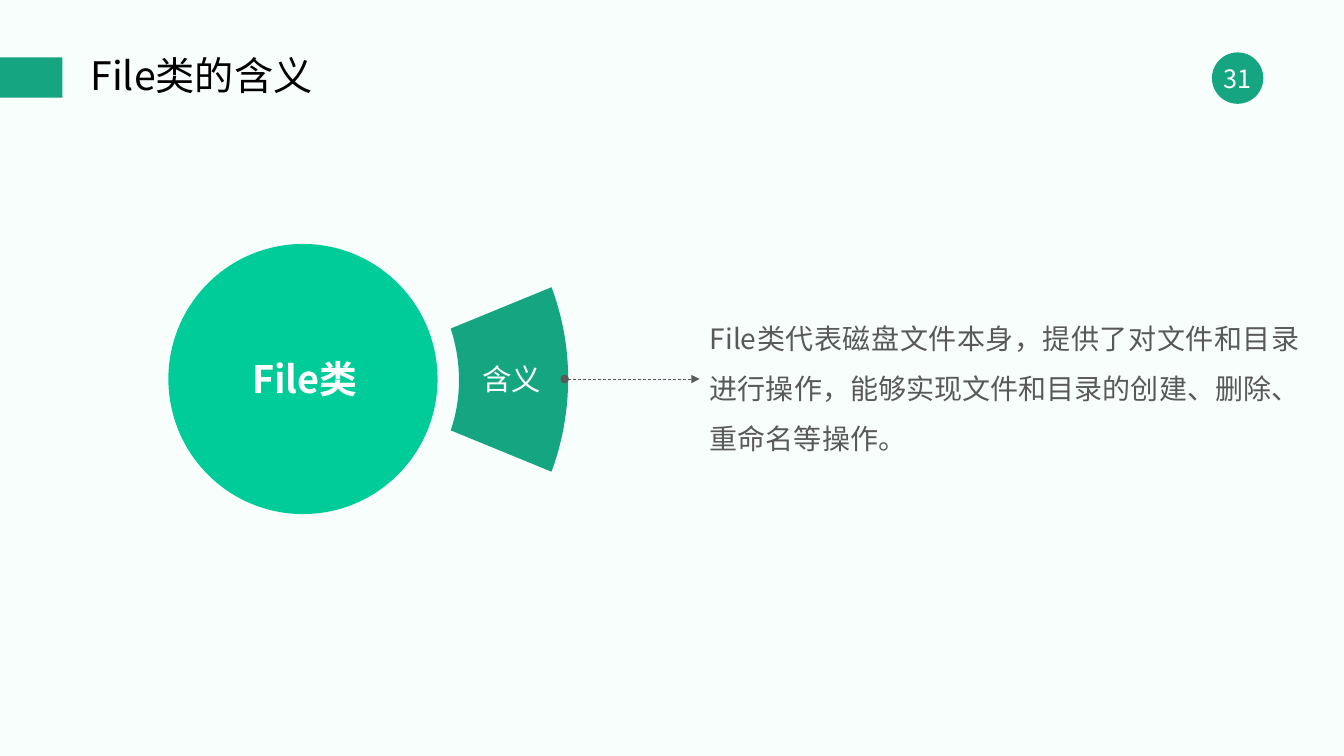
from lxml import etree
from pptx import Presentation
from pptx.dml.color import RGBColor
from pptx.enum.dml import MSO_LINE
from pptx.enum.shapes import MSO_CONNECTOR, MSO_SHAPE
from pptx.enum.text import MSO_ANCHOR, PP_ALIGN
from pptx.oxml.ns import qn
from pptx.util import Pt

PX = 9144  # 100 px to the inch
FONT = "Noto Sans CJK SC"
BACKGROUND = RGBColor(0xF8, 0xFE, 0xFC)
GREEN = RGBColor(0x15, 0xA6, 0x81)
MINT = RGBColor(0x00, 0xCC, 0x99)
GREY = RGBColor(0x59, 0x59, 0x59)
BLACK = RGBColor(0, 0, 0)
WHITE = RGBColor(0xFF, 0xFF, 0xFF)
OVAL, RECTANGLE = MSO_SHAPE.OVAL, MSO_SHAPE.RECTANGLE
STRAIGHT, DASH = MSO_CONNECTOR.STRAIGHT, MSO_LINE.DASH
TOP, MIDDLE = MSO_ANCHOR.TOP, MSO_ANCHOR.MIDDLE
LEFT, CENTER, JUSTIFY = PP_ALIGN.LEFT, PP_ALIGN.CENTER, PP_ALIGN.JUSTIFY


def add_text(slide, box, text, size, color, align, anchor, insets, bold=False):
    shape = slide.shapes.add_textbox(*[value * PX for value in box])
    frame = shape.text_frame
    frame.word_wrap = True
    frame.vertical_anchor = anchor
    frame.margin_left = frame.margin_right = insets[0] * PX
    frame.margin_top = frame.margin_bottom = insets[1] * PX
    paragraph = frame.paragraphs[0]
    paragraph.alignment = align
    run = paragraph.add_run()
    run.text = text
    run.font.name = FONT
    run.font.size = Pt(size)
    run.font.bold = bold
    run.font.color.rgb = color
    etree.SubElement(run.font._element, qn("a:ea"), typeface=FONT)
    return paragraph


def curve_points(start, control_1, control_2, end, steps=24):
    for step in range(1, steps + 1):
        t = step / steps
        weights = ((1 - t) ** 3, 3 * t * (1 - t) ** 2, 3 * t * t * (1 - t), t ** 3)
        points = (start, control_1, control_2, end)
        yield tuple(round(PX * sum(w * p[axis] for w, p in zip(weights, points)))
                    for axis in (0, 1))


presentation = Presentation()
presentation.slide_width = 1333 * PX
presentation.slide_height = 750 * PX
slide = presentation.slides.add_slide(presentation.slide_layouts[6])
slide.background.fill.solid()
slide.background.fill.fore_color.rgb = BACKGROUND

# Page badge, title bar and main circle
filled_shapes = []
for kind, box, color in (
    (OVAL, (1202, 52, 51, 51), GREEN),
    (RECTANGLE, (0, 57, 62, 40), GREEN),
    (OVAL, (167, 242, 267, 268), MINT),
):
    shape = slide.shapes.add_shape(kind, *[value * PX for value in box])
    filled_shapes.append((shape, color))

# Ring segment beside the circle
outer_top, outer_bottom = (547, 285), (547, 468)
inner_bottom, inner_top = (447, 427), (447, 326)
builder = slide.shapes.build_freeform(outer_top[0] * PX, outer_top[1] * PX)
builder.add_line_segments(
    list(curve_points(outer_top, (570, 346), (568, 411), outer_bottom))
    + list(curve_points(inner_bottom, inner_bottom, inner_bottom, inner_bottom, 1))
    + list(curve_points(inner_bottom, (458, 395), (458, 360), inner_top)),
    close=True,
)
filled_shapes.append((builder.convert_to_shape(), GREEN))

for shape, color in filled_shapes:
    shape.shadow.inherit = False
    shape.fill.solid()
    shape.fill.fore_color.rgb = color
    shape.line.fill.background()

# Dashed arrow to the explanation
arrow = slide.shapes.add_connector(STRAIGHT, 560 * PX, 376 * PX, 694 * PX, 376 * PX)
arrow.line.color.rgb = GREY
arrow.line.width = Pt(0.5)
arrow.line.dash_style = DASH
properties = arrow._element.spPr
line = properties.find(qn("a:ln"))
etree.SubElement(line, qn("a:headEnd"), type="oval")
etree.SubElement(line, qn("a:tailEnd"), type="triangle")
etree.SubElement(properties, qn("a:effectLst"))

# Header text
add_text(slide, (1202, 42, 51, 71), "31", 18, WHITE, CENTER, MIDDLE, (10, 5))
title = add_text(slide, (80, 52, 745, 51), "File类的含义", 28, BLACK, LEFT, MIDDLE, (10, 5))
title.line_spacing = 0.9
title.space_before = Pt(10)

# Diagram text
add_text(slide, (237, 346, 131, 59), "File类", 27, WHITE, CENTER, TOP, (13, 7), bold=True)
add_text(slide, (465, 358, 85, 35), "含义", 21, WHITE, CENTER, TOP, (0, 0))
explanation = add_text(
    slide, (704, 302, 585, 146),
    "File类代表磁盘文件本身，提供了对文件和目录进行操作，"
    "能够实现文件和目录的创建、删除、重命名等操作。",
    20, GREY, JUSTIFY, TOP, (0, 0),
)
explanation.line_spacing = 1.5

presentation.save("out.pptx")
